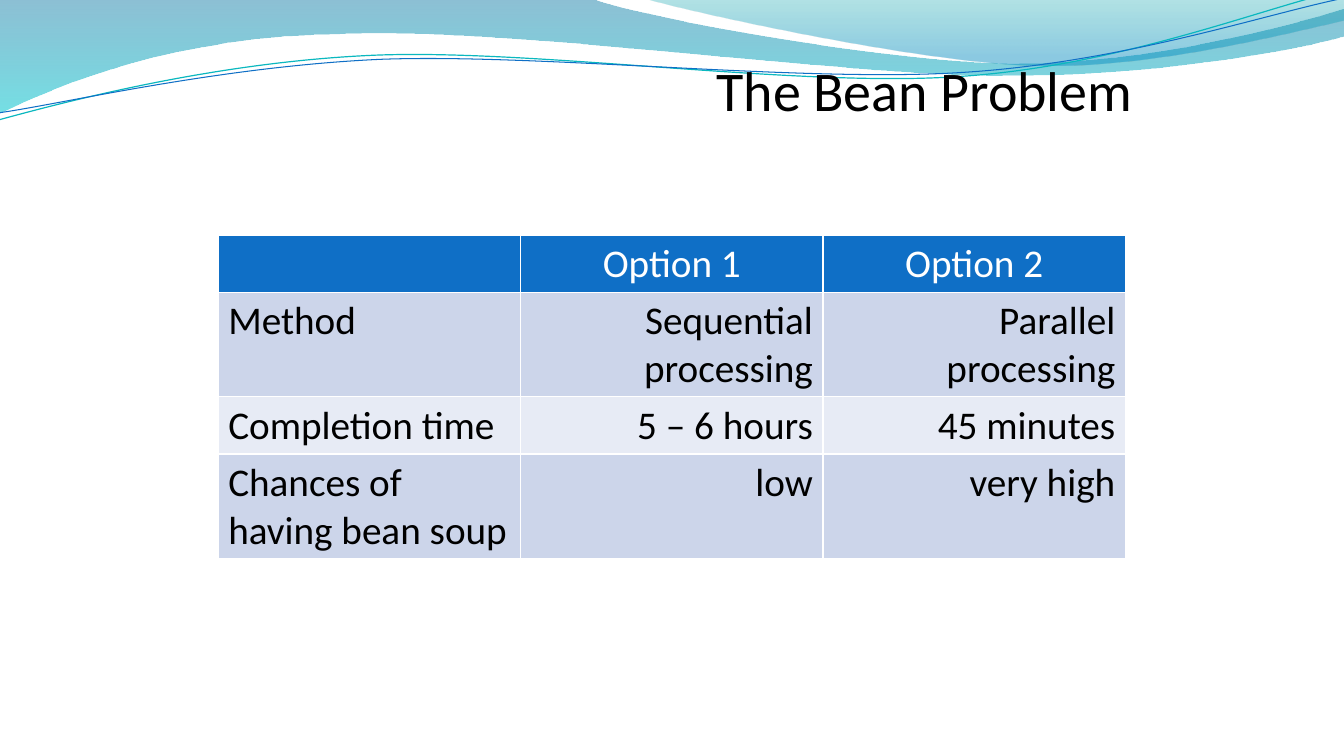
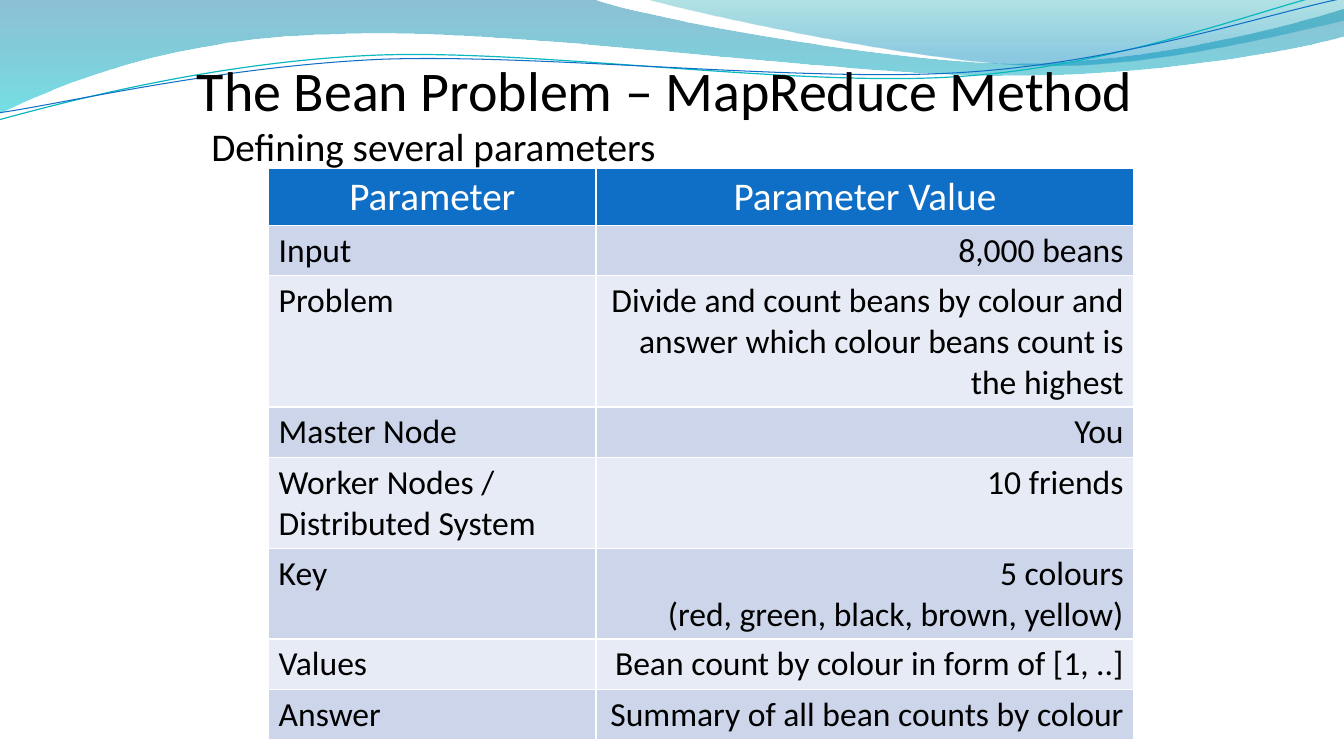
from lxml import etree
from pptx import Presentation
from pptx.dml.color import RGBColor
from pptx.enum.text import MSO_AUTO_SIZE, PP_ALIGN
from pptx.oxml.ns import qn
from pptx.util import Cm, Pt

LEFT, CENTER, RIGHT = PP_ALIGN.LEFT, PP_ALIGN.CENTER, PP_ALIGN.RIGHT
GROW = MSO_AUTO_SIZE.SHAPE_TO_FIT_TEXT

FONT = "Calibri"
BLACK, WHITE = "000000", "FFFFFF"
BLUE, TEAL = "0F6FC6", "0AB8BF"
BANDS = ("CCD5EA", "E7EBF5")

TITLE_RIGHT, TITLE_TOP, TITLE_HEIGHT = 28.79, 1.27, 1.96
ROW_HEIGHT = 1.12
CURVE_TILT = 357.3

WIDE_WAVE = [
    [(0, 0)],
    [(14.91, -0.03)],
    [(16.1, 0.43), (22.48, 1.6), (25.68, 1.6)],
    [(28.91, 1.6), (32.46, 0.66), (33.86, 0.23)],
    [(33.91, 0.91)],
    [(33.3, 1.12), (29.46, 1.93), (25.25, 1.91)],
    [(21.06, 1.91), (12.93, 0.71), (8.71, 0.86)],
    [(4.37, 0.91), (1.55, 2.11), (-0.03, 2.87)],
    [(0, 0)],
]
RIGHT_WAVE = [
    [(16.23, -0.03)],
    [(17.25, 0.28), (23.09, 1.57), (26.04, 1.65)],
    [(28.98, 1.75), (32.56, 0.81), (33.86, 0.53)],
    [(33.86, 0)],
    [(16.23, -0.03)],
]
TEAL_LINE = [
    [(-0.08, 2.22)],
    [(1.59, 1.85), (5.37, 1.03), (9.38, 1.04)],
    [(13.4, 1.05), (20.03, 2.36), (24.1, 2.27)],
    [(28.17, 2.21), (31.84, 0.91), (33.87, 0.55)],
]
BLUE_LINE = [
    [(-0.05, 2.04)],
    [(1.56, 1.89), (5.54, 1.14), (9.61, 1.15)],
    [(13.65, 1.19), (20.19, 2.24), (24.23, 2.17)],
    [(28.31, 2.11), (31.92, 1.06), (33.94, 0.75)],
]

OPTIONS = [
    ("", "Option 1", "Option 2"),
    ("Method", "Sequential processing", "Parallel processing"),
    ("Completion time", "5 – 6 hours", "45 minutes"),
    ("Chances of having bean soup", "low", "very high"),
]
PARAMETERS = [
    ("Parameter", "Parameter Value"),
    ("Input", "8,000 beans"),
    ("Problem", "Divide and count beans by colour and answer which colour beans count is the highest"),
    ("Master Node", "You"),
    ("Worker Nodes /\nDistributed System", "10 friends"),
    ("Key", "5 colours\n(red, green, black, brown, yellow)"),
    ("Values", "Bean count by colour in form of [1, ..]"),
    ("Answer", "Summary of all bean counts by colour"),
]


def color(value):
    return RGBColor.from_string(value)


def write_text(frame, text, size=28, fill=BLACK, align=LEFT):
    for index, line in enumerate(text.split("\n")):
        paragraph = frame.paragraphs[0] if index == 0 else frame.add_paragraph()
        paragraph.alignment = align
        run = paragraph.add_run()
        run.text = line
        run.font.name = FONT
        run.font.size = Pt(size)
        run.font.bold = False
        run.font.color.rgb = color(fill)


def add_text(slide, text, left, top, width, height, wrap=True, **style):
    box = slide.shapes.add_textbox(Cm(left), Cm(top), Cm(width), Cm(height))
    box.text_frame.word_wrap = wrap
    box.text_frame.auto_size = GROW
    write_text(box.text_frame, text, **style)


def bend_segments(shape, segments):
    steps = iter(list(shape._element.iter(qn("a:lnTo"))))
    for segment in segments:
        first, *others = [next(steps) for _ in segment]
        if others:
            curve = etree.Element(qn("a:cubicBezTo"))
            first.addprevious(curve)
            for step in (first, *others):
                curve.append(step[0])
                step.getparent().remove(step)


def add_outline(slide, outline, close):
    (start,), *segments = outline
    points = [(Cm(x), Cm(y)) for segment in segments for x, y in segment]
    builder = slide.shapes.build_freeform(Cm(start[0]), Cm(start[1]))
    builder.add_line_segments(points, close=close)
    shape = builder.convert_to_shape()
    bend_segments(shape, segments)
    shape.shadow.inherit = False
    return shape


def add_wave(slide, outline, stops):
    wave = add_outline(slide, outline, True)
    wave.line.fill.background()
    wave.fill.gradient()
    wave.fill.gradient_angle = 270
    for stop, (position, value, _) in zip(wave.fill.gradient_stops, stops):
        stop.position = position
        stop.color.rgb = color(value)
    tints = list(wave._element.spPr.iter(qn("a:srgbClr")))
    for tint, (_, _, opacity) in zip(tints, stops):
        etree.SubElement(tint, qn("a:alpha")).set("val", str(opacity * 1000))


def add_curve(slide, outline, value, width):
    curve = add_outline(slide, outline, False)
    curve.rotation = CURVE_TILT
    curve.fill.background()
    curve.line.color.rgb = color(value)
    curve.line.width = Pt(width)


def add_header_waves(slide):
    add_wave(slide, WIDE_WAVE, [(0, "0074A1", 45), (1, "00C6CF", 55)])
    add_wave(slide, RIGHT_WAVE, [(0, "00A1A9", 30), (0.8, "008BBF", 45)])
    add_curve(slide, TEAL_LINE, TEAL, 0.85)
    add_curve(slide, BLUE_LINE, BLUE, 0.75)


def add_grid(slide, rows, left, top, widths, height, body_size):
    grid = slide.shapes.add_table(
        len(rows), len(widths), Cm(left), Cm(top), Cm(sum(widths)), Cm(height))
    table = grid.table
    for column, width in zip(table.columns, widths):
        column.width = Cm(width)
    for row, texts in enumerate(rows):
        header = row == 0
        table.rows[row].height = Cm(ROW_HEIGHT)
        for column, text in enumerate(texts):
            cell = table.cell(row, column)
            cell.fill.solid()
            cell.fill.fore_color.rgb = color(BLUE if header else BANDS[(row - 1) % 2])
            if header:
                write_text(cell.text_frame, text, fill=WHITE, align=CENTER)
            else:
                write_text(cell.text_frame, text, size=body_size,
                           align=RIGHT if column else LEFT)
    grid.height = Cm(height)


def add_titled_slide(deck, title, title_width):
    slide = deck.slides.add_slide(deck.slide_layouts[6])
    add_header_waves(slide)
    add_text(slide, title, TITLE_RIGHT - title_width, TITLE_TOP, title_width,
             TITLE_HEIGHT, size=40, align=RIGHT)
    return slide


def build_options(deck):
    slide = add_titled_slide(deck, "The Bean Problem", 11.86)
    add_grid(slide, OPTIONS, 5.5, 5.93, (7.62, 7.62, 7.62), 8.13, 28)


def build_parameters(deck):
    slide = add_titled_slide(deck, "The Bean Problem – MapReduce Method", 24.13)
    add_text(slide, "Defining several parameters", 5.08, 2.96, 11.81, 1.45, wrap=False)
    add_grid(slide, PARAMETERS, 6.77, 4.24, (8.25, 13.55), 14.4, 24)


def main():
    deck = Presentation()
    deck.slide_width, deck.slide_height = Cm(33.87), Cm(19.05)
    build_options(deck)
    build_parameters(deck)
    deck.save("out.pptx")


if __name__ == "__main__":
    main()
